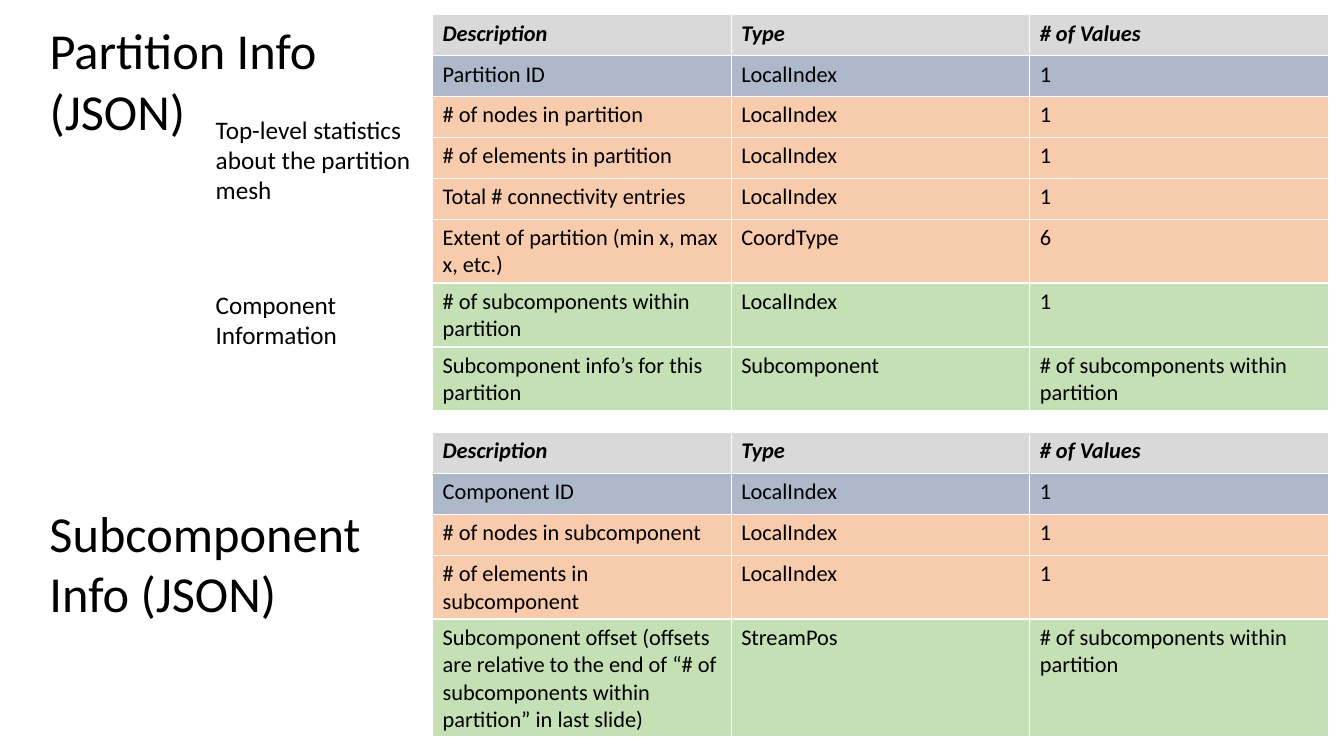
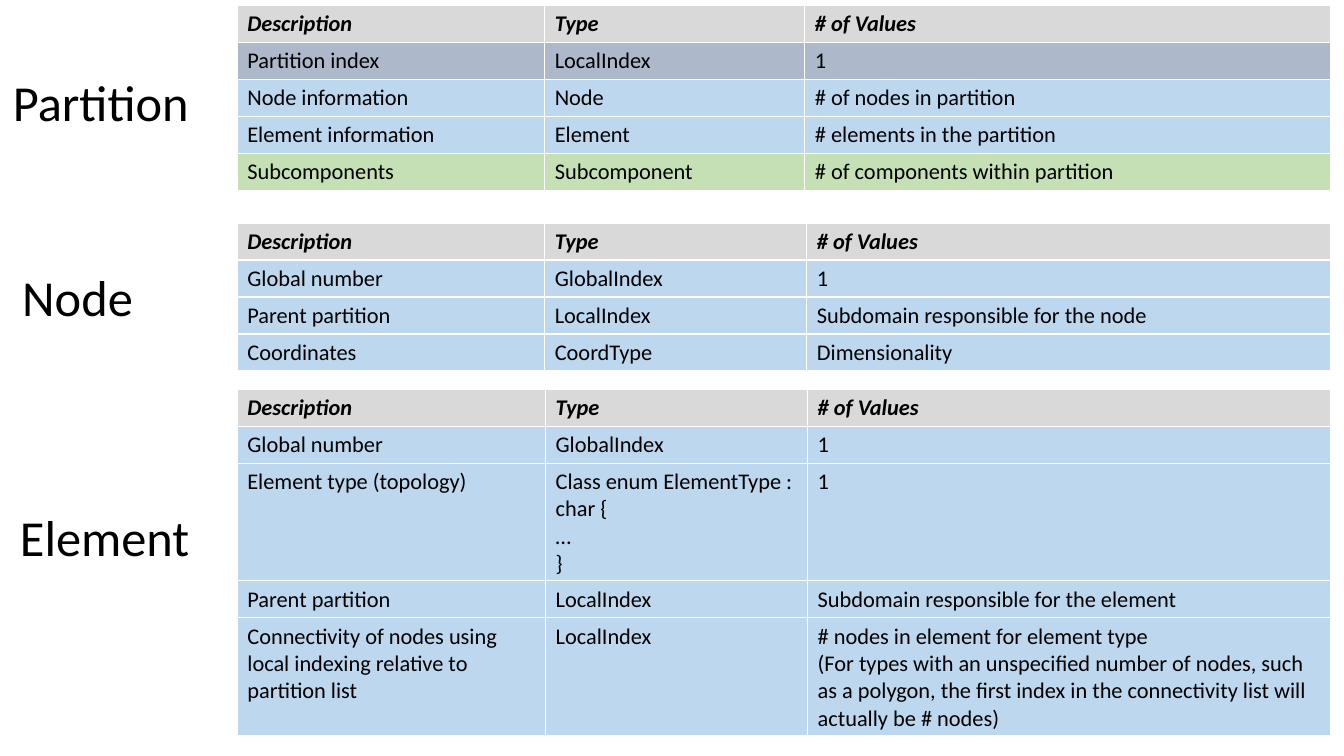
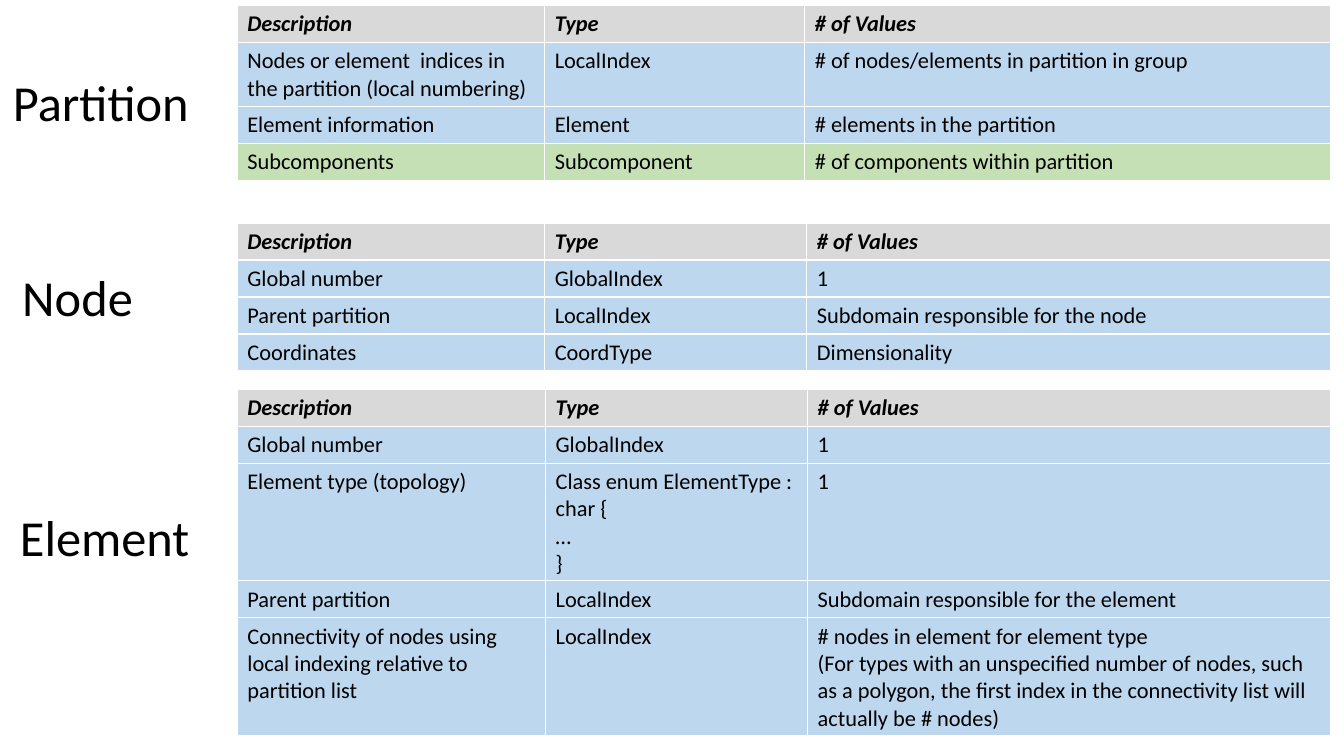
"""Build three slides of tables describing a partitioned mesh file format."""
from dataclasses import dataclass

from pptx import Presentation
from pptx.dml.color import RGBColor
from pptx.enum.text import MSO_ANCHOR, MSO_AUTO_SIZE, PP_ALIGN
from pptx.slide import Slide
from pptx.util import Pt

FONT = "Calibri"
BLACK = "000000"
GREY = "D9D9D9"
SLATE = "ADB9CA"
ORANGE = "F8CBAD"
GREEN = "C5E0B4"
BLUE = "BDD7EE"
HEADER = ("Description", "Type", "# of Values")
HEADING_SIZE = 36
CAPTION_SIZE = 18
CELL_SIZE = 16


@dataclass(frozen=True)
class Row:
    """One table row: its fill and the text of its cells."""

    fill: str
    description: str
    kind: str
    count: str


@dataclass(frozen=True)
class Table:
    """A table with its place, column widths and least row height in points."""

    left: float
    top: float
    height: float
    widths: tuple[float, float, float]
    row_height: float
    rows: tuple[Row, ...]


@dataclass(frozen=True)
class Label:
    """A text with its place and size in points."""

    text: str
    left: float
    top: float
    width: float
    height: float
    size: float = HEADING_SIZE
    wrap: bool = False


@dataclass(frozen=True)
class Page:
    """The content of one slide; the first label is its title."""

    labels: tuple[Label, ...]
    tables: tuple[Table, ...]


INFO_WIDTHS = (213.3, 213.3, 213.3)

PARTITION_INFO = Table(309, 10.6, 283, INFO_WIDTHS, 29.2, (
    Row(SLATE, "Partition ID", "LocalIndex", "1"),
    Row(ORANGE, "# of nodes in partition", "LocalIndex", "1"),
    Row(ORANGE, "# of elements in partition", "LocalIndex", "1"),
    Row(ORANGE, "Total # connectivity entries", "LocalIndex", "1"),
    Row(ORANGE, "Extent of partition (min x, max x, etc.)", "CoordType", "6"),
    Row(GREEN, "# of subcomponents within partition", "LocalIndex", "1"),
    Row(GREEN, "Subcomponent info’s for this partition", "Subcomponent",
        "# of subcomponents within partition"),
))

SUBCOMPONENT_INFO = Table(309, 309, 217.4, INFO_WIDTHS, 29.2, (
    Row(SLATE, "Component ID", "LocalIndex", "1"),
    Row(ORANGE, "# of nodes in subcomponent", "LocalIndex", "1"),
    Row(ORANGE, "# of elements in subcomponent", "LocalIndex", "1"),
    Row(GREEN, "Subcomponent offset (offsets are relative to the end of "
        "“# of subcomponents within partition” in last slide)", "StreamPos",
        "# of subcomponents within partition"),
))

ELEMENT_ROW = Row(BLUE, "Element information", "Element", "# elements in the partition")
SUBCOMPONENT_ROW = Row(GREEN, "Subcomponents", "Subcomponent",
                       "# of components within partition")
GLOBAL_ROW = Row(BLUE, "Global number", "GlobalIndex", "1")


def partition_table(height: float, *first_rows: Row) -> Table:
    """Return a partition table that ends with the two rows both slides share."""
    return Table(169.5, 3.8, height, (219.6, 185.8, 375.8), 18,
                 (*first_rows, ELEMENT_ROW, SUBCOMPONENT_ROW))


PARTITION = partition_table(
    131.8,
    Row(SLATE, "Partition index", "LocalIndex", "1"),
    Row(BLUE, "Node information", "Node", "# of nodes in partition"),
)

PARTITION_GROUP = partition_table(
    124.6,
    Row(BLUE, "Nodes or element  indices in the partition (local numbering)",
        "LocalIndex", "# of nodes/elements in partition in group"),
)

NODE = Table(169.5, 159.3, 105.8, (219.6, 187.2, 374.4), 18, (
    GLOBAL_ROW,
    Row(BLUE, "Parent partition", "LocalIndex", "Subdomain responsible for the node"),
    Row(BLUE, "Coordinates", "CoordType", "Dimensionality"),
))

ELEMENT = Table(169.5, 278, 247, (220.2, 187.2, 373.8), 18, (
    GLOBAL_ROW,
    Row(BLUE, "Element type (topology)", "Class enum ElementType : char {\n…\n}", "1"),
    Row(BLUE, "Parent partition", "LocalIndex", "Subdomain responsible for the element"),
    Row(BLUE, "Connectivity of nodes using local indexing relative to partition list",
        "LocalIndex",
        "# nodes in element for element type\n"
        "(For types with an unspecified number of nodes, such as a polygon, the first "
        "index in the connectivity list will actually be # nodes)"),
))

MESH_LABELS = (
    Label("Partition", 2, 47.4, 141.8, 50.9),
    Label("Node", 8.8, 186.8, 94.3, 50.9),
    Label("Element", 7.2, 358, 136.8, 50.9),
)

PAGES = (
    Page((
        Label("Partition Info\n(JSON)", 28.2, 10.2, 207.4, 94.5),
        Label("Top-level statistics about the partition mesh", 147, 78, 173.5, 72.7,
              CAPTION_SIZE, True),
        Label("Component Information", 147, 203, 152, 50.9, CAPTION_SIZE, True),
        Label("Subcomponent Info (JSON)", 28.2, 355, 243.4, 94.5, wrap=True),
    ), (PARTITION_INFO, SUBCOMPONENT_INFO)),
    Page(MESH_LABELS, (PARTITION, NODE, ELEMENT)),
    Page(MESH_LABELS, (PARTITION_GROUP, NODE, ELEMENT)),
)


def color(value: str) -> RGBColor:
    """Turn a hex string into a colour."""
    return RGBColor.from_string(value)


def write_text(frame, text: str, size: float, strong: bool = False) -> None:
    """Fill a text frame with one left-aligned paragraph for each line."""
    frame.text = text
    for para in frame.paragraphs:
        para.alignment = PP_ALIGN.LEFT
        para.font.name = FONT
        para.font.size = Pt(size)
        para.font.bold = strong
        para.font.italic = strong
        para.font.color.rgb = color(BLACK)


def draw_label(slide: Slide, label: Label, is_title: bool) -> None:
    """Place a label in the title placeholder or in a new text box."""
    place = [Pt(v) for v in (label.left, label.top, label.width, label.height)]
    if is_title:
        box = slide.shapes.title
        box.left, box.top, box.width, box.height = place
    else:
        box = slide.shapes.add_textbox(*place)
    frame = box.text_frame
    write_text(frame, label.text, label.size)
    frame.word_wrap = label.wrap
    frame.auto_size = MSO_AUTO_SIZE.SHAPE_TO_FIT_TEXT
    frame.vertical_anchor = MSO_ANCHOR.TOP


def draw_table(slide: Slide, table: Table) -> None:
    """Draw a table with a grey header and one fill for each row."""
    rows = (Row(GREY, *HEADER), *table.rows)
    holder = slide.shapes.add_table(
        len(rows), len(table.widths), Pt(table.left), Pt(table.top),
        Pt(sum(table.widths)), Pt(table.height))
    grid = holder.table
    for column, width in zip(grid.columns, table.widths):
        column.width = Pt(width)
    for index, row in enumerate(rows):
        grid.rows[index].height = Pt(table.row_height)
        for cell, text in zip(grid.rows[index].cells,
                              (row.description, row.kind, row.count)):
            cell.fill.solid()
            cell.fill.fore_color.rgb = color(row.fill)
            write_text(cell.text_frame, text, CELL_SIZE, strong=index == 0)
    holder.height = Pt(table.height)


def main() -> None:
    """Build the deck and save it."""
    deck = Presentation()
    deck.slide_width = Pt(960)
    deck.slide_height = Pt(540)
    title_only = deck.slide_layouts[5]
    for page in PAGES:
        slide = deck.slides.add_slide(title_only)
        for table in page.tables:
            draw_table(slide, table)
        for index, label in enumerate(page.labels):
            draw_label(slide, label, is_title=index == 0)
    deck.save("out.pptx")


if __name__ == "__main__":
    main()
